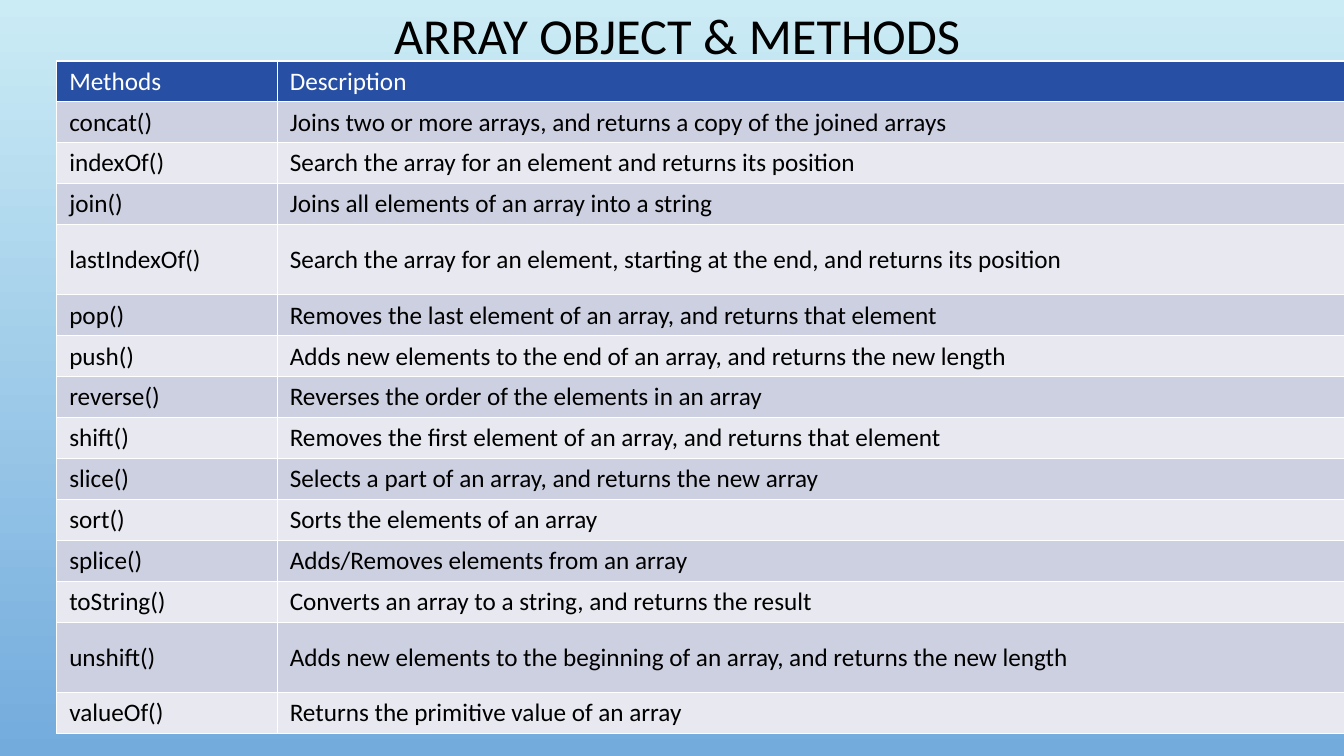
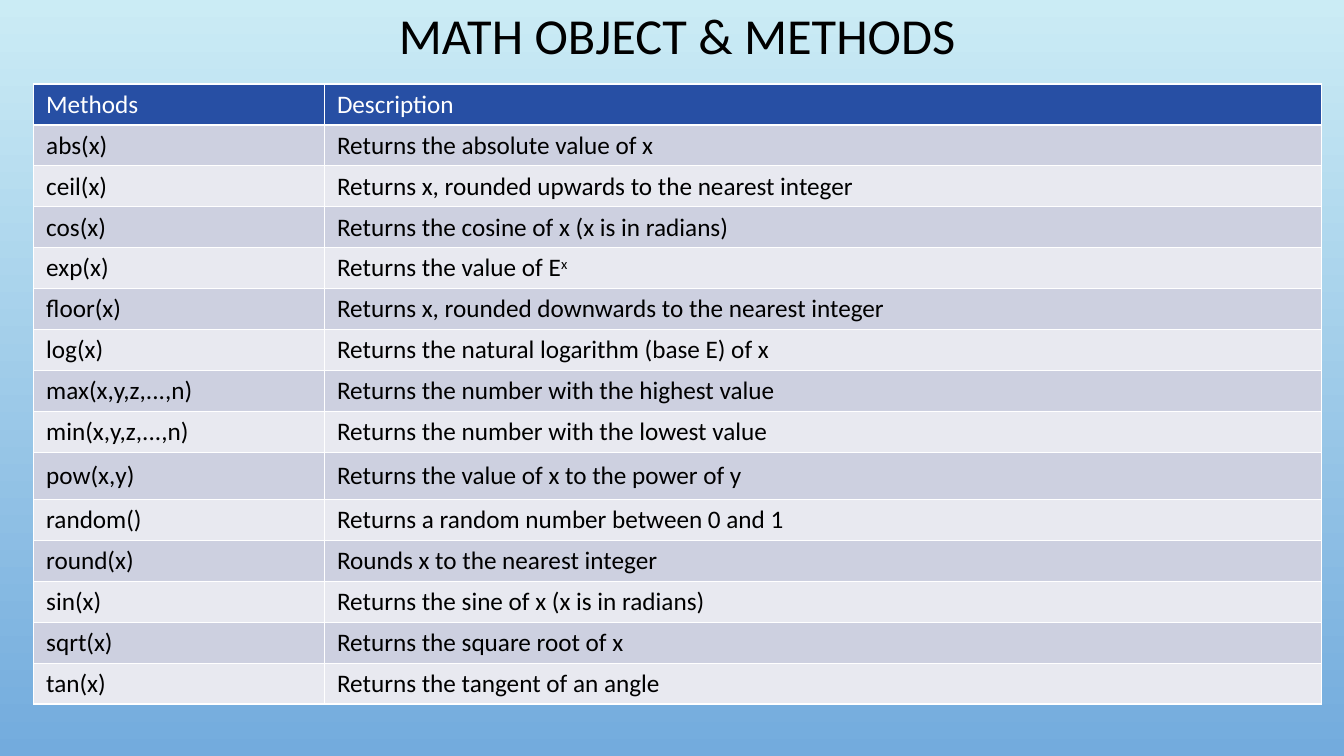
from pptx import Presentation
from pptx.dml.color import RGBColor
from pptx.enum.text import MSO_ANCHOR as Anchor, PP_ALIGN as Align
from pptx.oxml import parse_xml
from pptx.oxml.ns import nsdecls
from pptx.util import Pt

EMU_PER_PX = 9525
ROW_HEIGHT = 39

ARRAY_METHODS = [
    ("concat()", "Joins two or more arrays, and returns a copy of the joined arrays"),
    ("indexOf()", "Search the array for an element and returns its position"),
    ("join()", "Joins all elements of an array into a string"),
    ("lastIndexOf()", "Search the array for an element, starting at the end, and returns its position"),
    ("pop()", "Removes the last element of an array, and returns that element"),
    ("push()", "Adds new elements to the end of an array, and returns the new length"),
    ("reverse()", "Reverses the order of the elements in an array"),
    ("shift()", "Removes the first element of an array, and returns that element"),
    ("slice()", "Selects a part of an array, and returns the new array"),
    ("sort()", "Sorts the elements of an array"),
    ("splice()", "Adds/Removes elements from an array"),
    ("toString()", "Converts an array to a string, and returns the result"),
    ("unshift()", "Adds new elements to the beginning of an array, and returns the new length"),
    ("valueOf()", "Returns the primitive value of an array"),
]
MATH_METHODS = [
    ("abs(x)", "Returns the absolute value of x"),
    ("ceil(x)", "Returns x, rounded upwards to the nearest integer"),
    ("cos(x)", "Returns the cosine of x (x is in radians)"),
    ("exp(x)", "Returns the value of E^x"),
    ("floor(x)", "Returns x, rounded downwards to the nearest integer"),
    ("log(x)", "Returns the natural logarithm (base E) of x"),
    ("max(x,y,z,...,n)", "Returns the number with the highest value"),
    ("min(x,y,z,...,n)", "Returns the number with the lowest value"),
    ("pow(x,y)", "Returns the value of x to the power of y"),
    ("random()", "Returns a random number between 0 and 1"),
    ("round(x)", "Rounds x to the nearest integer"),
    ("sin(x)", "Returns the sine of x (x is in radians)"),
    ("sqrt(x)", "Returns the square root of x"),
    ("tan(x)", "Returns the tangent of an angle"),
]


def px(length):
    """Turn pixels into EMU."""
    return length * EMU_PER_PX


def color(value):
    """Turn a hex string into a colour."""
    return RGBColor.from_string(value)


def write_text(frame, text, size=18, fill="000000", font="Calibri", align=Align.LEFT, spacing=1.0):
    """Write one paragraph, raising whatever follows a caret."""
    paragraph = frame.paragraphs[0]
    paragraph.alignment = align
    paragraph.line_spacing = spacing
    for index, part in enumerate(text.split("^")):
        run = paragraph.add_run()
        run.text = part
        run.font.size = Pt(size)
        run.font.name = font
        run.font.color.rgb = color(fill)
        if index:
            run.font._element.set("baseline", "30000")


class Deck:
    """Hold the shared style and the current slide."""

    SKY = ("CBECF5", "73ABDD")
    HEADER = "274FA4"
    BANDS = ("CDD0E0", "E8E9F0")
    WHITE = "FFFFFF"

    def __init__(self):
        """Start a widescreen presentation."""
        self.presentation = Presentation()
        self.presentation.slide_width = px(1280)
        self.presentation.slide_height = px(720)
        self.slide = None

    def add_slide(self, title):
        """Add a slide with the sky background and a title."""
        self.slide = self.presentation.slides.add_slide(self.presentation.slide_layouts[6])
        fill = self.slide.background.fill
        fill.gradient()
        fill.gradient_angle = 270
        for position, (stop, shade) in enumerate(zip(fill.gradient_stops, self.SKY)):
            stop.position = position
            stop.color.rgb = color(shade)
        frame = self.slide.shapes.add_textbox(px(69), 0, px(1152), px(72)).text_frame
        frame.word_wrap = True
        frame.vertical_anchor = Anchor.MIDDLE
        write_text(frame, title, size=36, align=Align.CENTER, spacing=0.9)

    def add_methods(self, left, top, widths, methods, tall_rows):
        """Add a banded table of methods, with taller rows by method name."""
        rows = [("Methods", "Description"), *methods]
        heights = [tall_rows.get(name, ROW_HEIGHT) for name, _ in rows]
        table = self.slide.shapes.add_table(
            len(rows), len(widths), px(left), px(top), px(sum(widths)), px(sum(heights))
        ).table
        table.first_row = table.horz_banding = False
        for column, width in zip(table.columns, widths):
            column.width = px(width)
        for index, (row, height, texts) in enumerate(zip(table.rows, heights, rows)):
            row.height = px(height)
            for cell, text in zip(row.cells, texts):
                self.style_cell(cell, self.BANDS[(index - 1) % 2] if index else self.HEADER)
                cell.vertical_anchor = Anchor.MIDDLE if index else Anchor.TOP
                write_text(cell.text_frame, text, fill="000000" if index else self.WHITE)

    def style_cell(self, cell, shade):
        """Set a cell's fill, margins and white borders."""
        cell.fill.solid()
        cell.fill.fore_color.rgb = color(shade)
        cell.margin_left = cell.margin_right = px(12)
        cell.margin_top = cell.margin_bottom = px(5)
        properties = cell._tc.get_or_add_tcPr()
        for position, side in enumerate("LRTB"):
            border = parse_xml(
                f'<a:ln{side} {nsdecls("a")} w="{Pt(1)}"><a:solidFill>'
                f'<a:srgbClr val="{self.WHITE}"/></a:solidFill></a:ln{side}>'
            )
            properties.insert(position, border)


def main():
    """Build and save the two method slides."""
    deck = Deck()
    deck.add_slide("ARRAY OBJECT & METHODS")
    deck.add_methods(54, 58, (210, 1017), ARRAY_METHODS, {"lastIndexOf()": 67, "unshift()": 67})
    deck.add_slide("MATH OBJECT & METHODS")
    deck.add_methods(32, 80, (277, 950), MATH_METHODS, {"pow(x,y)": 45})
    deck.presentation.save("out.pptx")


if __name__ == "__main__":
    main()
